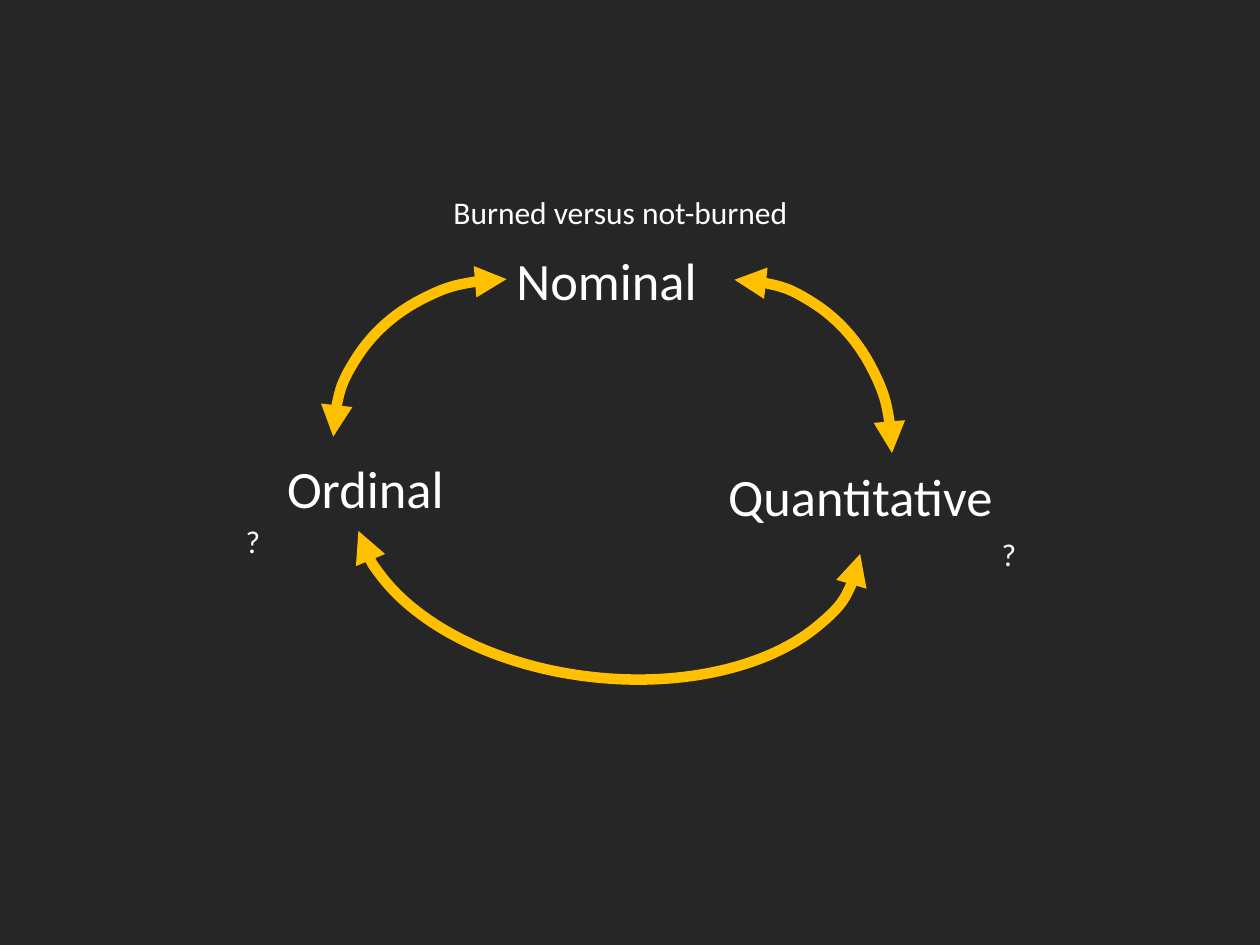
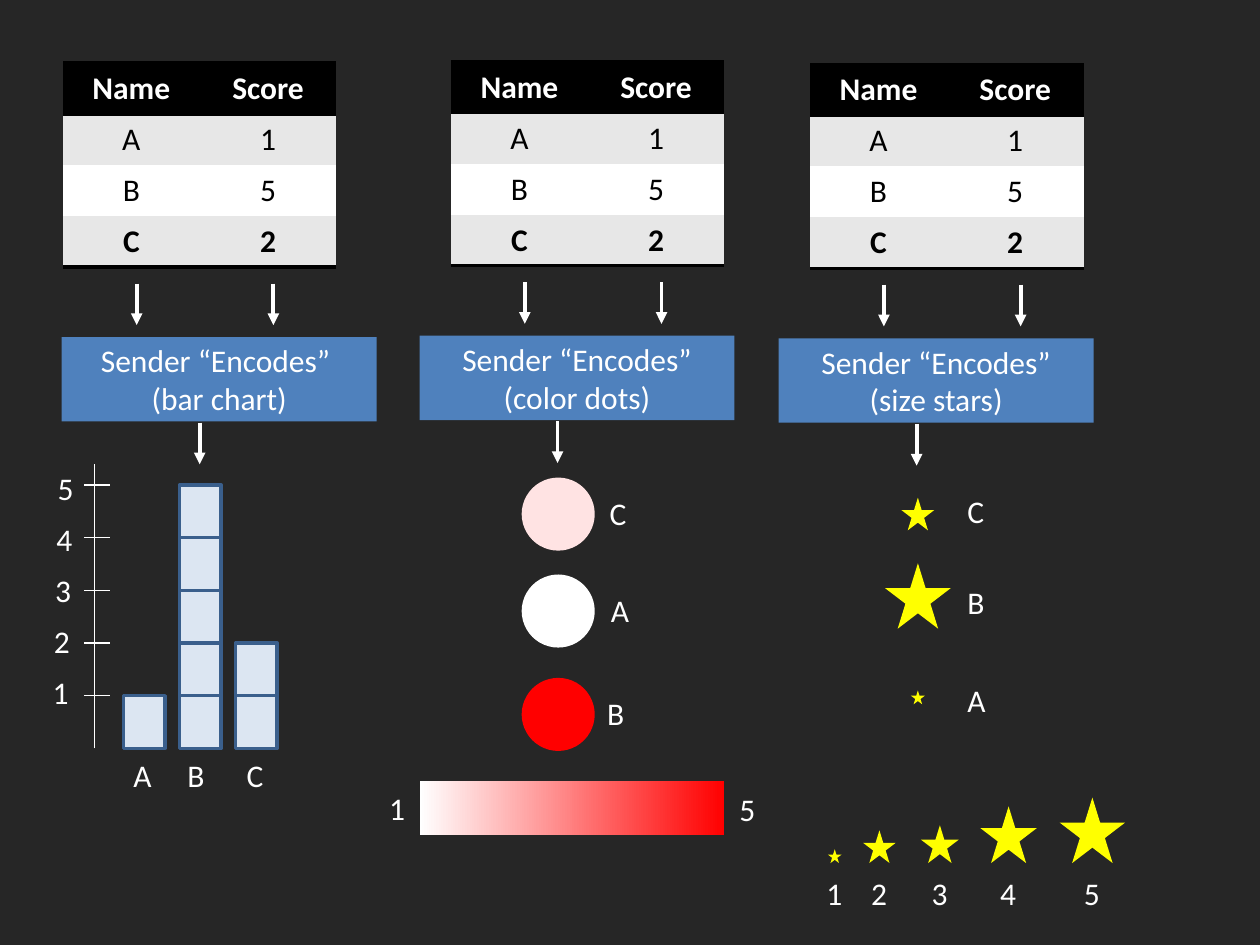
import lxml.etree
import pptx
import pptx.dml.color
import pptx.enum.shapes
import pptx.enum.text
import pptx.oxml.ns
import pptx.util

WIDTH = pptx.util.Inches(10)
HEIGHT = pptx.util.Inches(7.5)
COLUMNS = 100
CELL = WIDTH / COLUMNS

BACKDROP = pptx.dml.color.RGBColor(0x26, 0x26, 0x26)
WHITE = pptx.dml.color.RGBColor(0xFF, 0xFF, 0xFF)
BLACK = pptx.dml.color.RGBColor(0x00, 0x00, 0x00)
BAND = pptx.dml.color.RGBColor(0xE7, 0xE7, 0xE7)
GOLD = pptx.dml.color.RGBColor(0xFF, 0xC0, 0x00)
BLUE = pptx.dml.color.RGBColor(0x4F, 0x81, 0xBD)
BAR_FILL = pptx.dml.color.RGBColor(0xDC, 0xE6, 0xF2)
BAR_EDGE = pptx.dml.color.RGBColor(0x3A, 0x5F, 0x8C)
RED = pptx.dml.color.RGBColor(0xFF, 0x00, 0x00)
PINK = pptx.dml.color.RGBColor(0xFF, 0xE3, 0xE3)
YELLOW = pptx.dml.color.RGBColor(0xFF, 0xFF, 0x00)

FONT = "Calibri"
PLAIN_STYLE = "{2D5ABB26-0587-4C30-8999-92F81FD0307C}"
SHAPES = pptx.enum.shapes.MSO_SHAPE
CENTER = pptx.enum.text.PP_ALIGN.CENTER
MIDDLE = pptx.enum.text.MSO_ANCHOR.MIDDLE

SCORES = {"A": 1, "B": 5, "C": 2}
STAR_SIZES = [1.1, 2.6, 3, 4.5, 5.2]


def cells(*counts):
    return [pptx.util.Emu(round(count * CELL)) for count in counts]


def add_element(parent, tag, **attributes):
    return lxml.etree.SubElement(parent, pptx.oxml.ns.qn(tag), attributes)


def style_text(frame, size=18, color=WHITE, bold=False, align=None):
    for para in frame.paragraphs:
        para.alignment = align
        for span in para.runs:
            span.font.name = FONT
            span.font.size = pptx.util.Pt(size)
            span.font.color.rgb = color
            span.font.bold = bold


def add_page(deck):
    page = deck.slides.add_slide(deck.slide_layouts[6])
    page.background.fill.solid()
    page.background.fill.fore_color.rgb = BACKDROP
    return page


def add_label(page, text, left, top, width=3.3, size=18, tabs=()):
    height = 4 if size == 18 else 6.1
    box = page.shapes.add_textbox(*cells(left, top, width, height))
    frame = box.text_frame
    frame.word_wrap = bool(tabs)
    frame.auto_size = pptx.enum.text.MSO_AUTO_SIZE.SHAPE_TO_FIT_TEXT
    frame.text = text
    if tabs:
        stops = add_element(frame.paragraphs[0]._p.get_or_add_pPr(), "a:tabLst")
        for stop in cells(*tabs):
            add_element(stops, "a:tab", pos=str(stop), algn="l")
    style_text(frame, size)


def add_shape(page, kind, left, top, width, height, fill=None, edge=None, weight=2):
    shape = page.shapes.add_shape(kind, *cells(left, top, width, height))
    shape.shadow.inherit = False
    if fill is None:
        shape.fill.background()
    else:
        shape.fill.solid()
        shape.fill.fore_color.rgb = fill
    if edge is None:
        shape.line.fill.background()
    else:
        shape.line.color.rgb = edge
        shape.line.width = pptx.util.Pt(weight)
    return shape


def add_arc(page, left, top, width, height, rotation=0, sweep=None):
    arc = add_shape(page, SHAPES.ARC, left, top, width, height, edge=GOLD, weight=6)
    arc.rotation = rotation
    if sweep:
        arc.adjustments[0], arc.adjustments[1] = sweep
    for end in ("a:headEnd", "a:tailEnd"):
        add_element(arc.line._get_or_add_ln(), end, type="triangle")


def add_line(shapes, start_x, start_y, end_x, end_y, weight=0.75, arrow=False):
    line = shapes.add_connector(
        pptx.enum.shapes.MSO_CONNECTOR.STRAIGHT, *cells(start_x, start_y, end_x, end_y)
    )
    line.line.color.rgb = WHITE
    line.line.width = pptx.util.Pt(weight)
    if arrow:
        add_element(line.line._get_or_add_ln(), "a:tailEnd", type="triangle")
    add_element(line._element.spPr, "a:effectLst")


def add_down_arrow(page, x, top):
    add_line(page.shapes, x, top, x, top + 3.3, 2.25, True)


def add_border(cell, side):
    edge = add_element(cell._tc.get_or_add_tcPr(), side, w=str(pptx.util.Pt(2)))
    fill = add_element(edge, "a:solidFill")
    add_element(fill, "a:srgbClr", val=str(BLACK))


def add_score_table(page, left, top):
    rows = [("Name", "Score"), *SCORES.items()]
    last = len(rows) - 1
    table = page.shapes.add_table(len(rows), 2, *cells(left, top, 21.7, 16.2)).table
    table.horz_banding = False
    table._tbl.tblPr.find(pptx.oxml.ns.qn("a:tableStyleId")).text = PLAIN_STYLE
    for row, values in enumerate(rows):
        for column, value in enumerate(values):
            cell = table.cell(row, column)
            if row == 0:
                add_border(cell, "a:lnT")
            if row in (0, last):
                add_border(cell, "a:lnB")
            cell.fill.solid()
            cell.fill.fore_color.rgb = BLACK if row == 0 else BAND if row % 2 else WHITE
            cell.text_frame.text = str(value)
            style_text(
                cell.text_frame,
                color=WHITE if row == 0 else BLACK,
                bold=row in (0, last),
                align=CENTER,
            )


def add_encoder(page, table_left, box_left, top, text):
    add_score_table(page, table_left, top)
    for offset in (5.85, 16.7):
        add_down_arrow(page, table_left + offset, top + 17.5)
    box_top = top + 21.75
    box = add_shape(page, SHAPES.RECTANGLE, box_left, box_top, 25, 6.7, BLUE)
    box.text_frame.word_wrap = True
    box.text_frame.vertical_anchor = MIDDLE
    box.text_frame.text = text
    style_text(box.text_frame, align=CENTER)
    add_down_arrow(page, box_left + 10.95, box_top + 6.8)


def add_star(page, score, center, middle):
    size = STAR_SIZES[score - 1]
    add_shape(
        page, SHAPES.STAR_5_POINT, center - size / 2, middle - size / 2, size, size, YELLOW
    )


def add_bar_chart(page):
    base, step = 59.4, 4.18
    for index, score in enumerate(SCORES.values()):
        for level in range(1, score + 1):
            add_shape(
                page, SHAPES.RECTANGLE, 9.8 + 4.45 * index, base - step * level,
                3.3, step, BAR_FILL, BAR_EDGE,
            )
    add_label(page, "\t".join(SCORES), 9.6, 59.5, 13, tabs=(4.3, 9))
    add_line(page.shapes, 7.5, base, 7.5, 36.8)
    ticks = page.shapes.add_group_shape()
    for level in range(1, 6):
        height = base - step * level
        add_line(ticks.shapes, 6.7, height, 8.7, height)
        add_label(page, str(level), 3.1 + 0.1 * level, 56.95 - 4.05 * level)


def add_color_dots(page):
    dots = [("C", 37.9, PINK, 47.4), ("A", 45.6, WHITE, 47.5), ("B", 53.8, RED, 47.2)]
    for name, top, color, label_left in dots:
        add_shape(page, SHAPES.OVAL, 41.4, top, 5.8, 5.8, color)
        add_label(page, name, label_left, top + 0.8, 3.4)
    scale = add_shape(page, SHAPES.RECTANGLE, 33.3, 62, 24.2, 4.3)
    scale.fill.gradient()
    scale.fill.gradient_angle = 0
    for stop, color in zip(scale.fill.gradient_stops, (WHITE, RED)):
        stop.color.rgb = color
    add_label(page, "1", 29.9, 62.1)
    add_label(page, "5", 57.7, 62.2)


def add_size_stars(page):
    for name, middle, label_top in [("C", 40.8, 38.6), ("B", 47.3, 45.8), ("A", 55.35, 53.6)]:
        add_star(page, SCORES[name], 72.85, middle)
        add_label(page, name, 75.8, label_top, 3.4)
    for score, center in enumerate([66.25, 69.8, 74.6, 80.05, 86.7], 1):
        add_star(page, score, center, 68.5 - STAR_SIZES[score - 1] / 2)
        add_label(page, str(score), center - 1.65, 68.9)


def build_scale_cycle(deck):
    page = add_page(deck)
    add_label(page, "Nominal", 40, 19.2, 16.5, 30)
    add_label(page, "Ordinal", 21.8, 35.7, 14.6, 30)
    add_label(page, "Quantitative", 56.8, 36.3, 23.2, 30)
    add_arc(page, 45.8, 22.2, 25, 27.5)
    add_arc(page, 36.1, 21.5, 24.3, 40.3, 96.6, (162, 49.18))
    add_arc(page, 27.7, 20.9, 25, 27.5, 270)
    add_label(page, "?", 78.5, 42, 3.2)
    add_label(page, "?", 18.5, 40.9, 3.2)
    add_label(page, "Burned versus not-burned", 35, 14.8, 28.9)


def build_encodings(deck):
    page = add_page(deck)
    add_encoder(page, 5, 4.9, 5, "Sender “Encodes” \n(bar chart)")
    add_bar_chart(page)
    add_encoder(page, 35.8, 33.3, 4.9, "Sender “Encodes” (color dots)")
    add_color_dots(page)
    add_encoder(page, 64.3, 61.8, 5.1, "Sender “Encodes” (size stars)")
    add_size_stars(page)


def main():
    deck = pptx.Presentation()
    deck.slide_width = WIDTH
    deck.slide_height = HEIGHT
    build_scale_cycle(deck)
    build_encodings(deck)
    deck.save("out.pptx")


if __name__ == "__main__":
    main()
